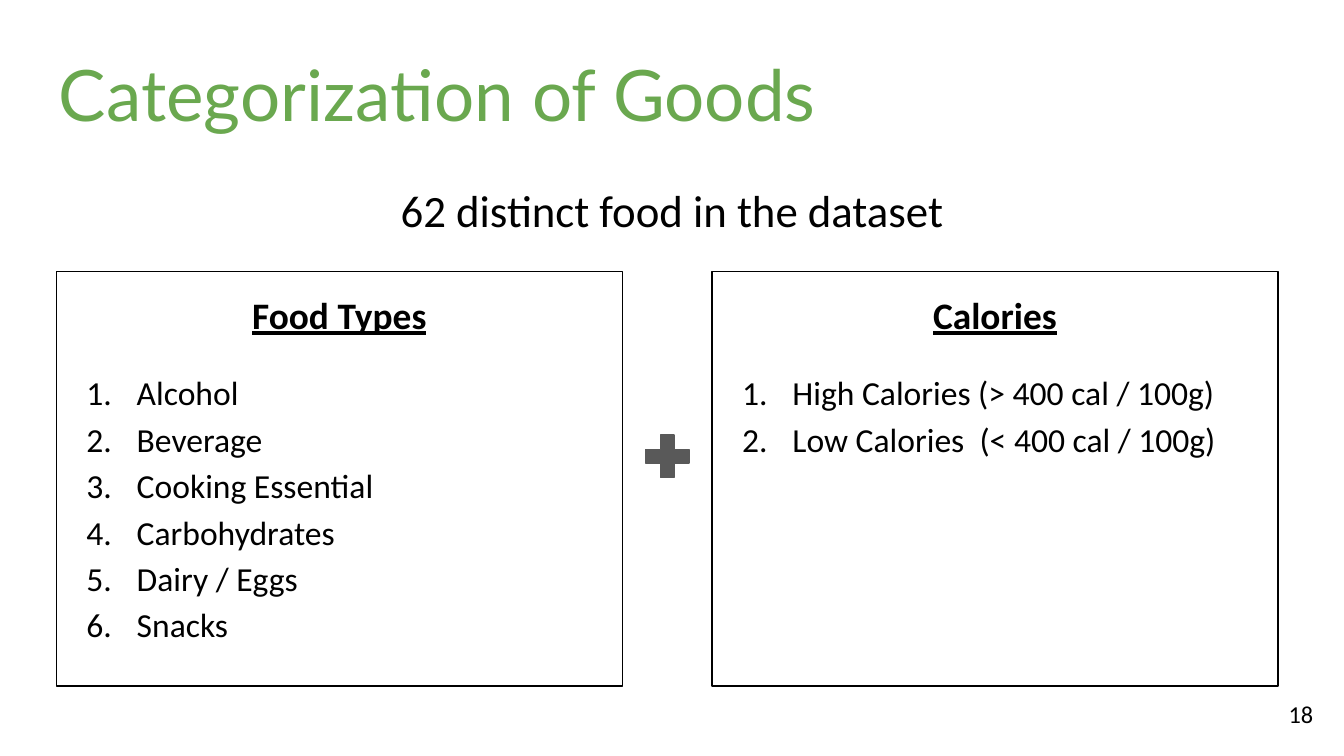
import pptx
import pptx.util
import pptx.dml.color
import pptx.enum.shapes
import pptx.enum.text
import lxml.etree

Pt = pptx.util.Pt
ALIGN = pptx.enum.text.PP_ALIGN
ANCHOR = pptx.enum.text.MSO_ANCHOR
SHAPE = pptx.enum.shapes.MSO_SHAPE

# Content
TITLE = "Categorization of Goods"
SUBTITLE = "62 distinct food in the dataset"
PAGE_NUMBER = "18"
CATEGORIES = [
    ("Food Types", ["Alcohol", "Beverage", "Cooking Essential",
                    "Carbohydrates", "Dairy / Eggs", "Snacks"]),
    ("Calories", ["High Calories (> 400 cal / 100g)",
                  "Low Calories  (< 400 cal / 100g)"]),
]


def rgb(code):
    return pptx.dml.color.RGBColor.from_string(code)


THEME = {
    "text": rgb("000000"),
    "plus": rgb("595959"),
    "title": {"name": "Lato", "size": Pt(38), "color": rgb("6AA84F")},
    "subtitle": {"name": "Calibri", "size": Pt(24)},
    "heading": {"name": "Calibri", "size": Pt(20), "bold": True, "underline": True},
    "item": {"name": "Calibri", "size": Pt(18)},
    "number": {"name": "Calibri", "size": Pt(13)},
}

# Layout, in points
SLIDE_W, SLIDE_H = 720, 405
HEAD_X, HEAD_W, HEAD_H = 24.5, 671, 45
PANEL_X, PANEL_Y, PANEL_W, PANEL_H, PANEL_GAP = 30.2, 145.5, 303.2, 222, 48.1
PLUS_W, PLUS_H, PLUS_Y = 31.6, 31, 229
INSET = 7.2
ITEM_INDENT, ITEM_HANG = 36, 27


def write(paragraph, text, style, **layout):
    for key, value in layout.items():
        setattr(paragraph, key, value)
    paragraph.text = text
    font = paragraph.font
    formats = {"color": THEME["text"], **THEME[style]}
    font.color.rgb = formats.pop("color")
    for key, value in formats.items():
        setattr(font, key, value)


def prepare(frame, anchor=ANCHOR.TOP):
    formats = {"word_wrap": True, "vertical_anchor": anchor}
    for side in ("left", "top", "right", "bottom"):
        formats[f"margin_{side}"] = Pt(INSET)
    for key, value in formats.items():
        setattr(frame, key, value)
    return frame


def add_text(slide, box, text, style, anchor=ANCHOR.TOP, **layout):
    frame = prepare(slide.shapes.add_textbox(*map(Pt, box)).text_frame, anchor)
    write(frame.paragraphs[0], text, style, **layout)


def number_item(paragraph):
    properties = paragraph._p.get_or_add_pPr()
    properties.set("marL", str(Pt(ITEM_INDENT)))
    properties.set("indent", str(-Pt(ITEM_HANG)))
    numbering = lxml.etree.SubElement(properties, pptx.oxml.ns.qn("a:buAutoNum"))
    numbering.set("type", "arabicPeriod")


def add_panel(slide, left, heading, items):
    panel = slide.shapes.add_shape(
        SHAPE.RECTANGLE, Pt(left), Pt(PANEL_Y), Pt(PANEL_W), Pt(PANEL_H))
    panel.shadow.inherit = False
    panel.fill.background()
    panel.line.color.rgb = THEME["text"]
    panel.line.width = Pt(0.75)
    frame = prepare(panel.text_frame)
    write(frame.paragraphs[0], heading, "heading",
          alignment=ALIGN.CENTER, line_spacing=1.15)
    for index, item in enumerate(items):
        paragraph = frame.add_paragraph()
        paragraph.line_spacing = 1.15
        paragraph.space_before = Pt(0 if index else 16)
        number_item(paragraph)
        write(paragraph, item, "item", alignment=ALIGN.LEFT)


def main():
    deck = pptx.Presentation()
    deck.slide_width, deck.slide_height = Pt(SLIDE_W), Pt(SLIDE_H)
    slide = deck.slides.add_slide(deck.slide_layouts[6])

    # Title, subtitle and page number
    add_text(slide, (HEAD_X, 20, HEAD_W, HEAD_H), TITLE, "title")
    add_text(slide, (HEAD_X, 86.5, HEAD_W, HEAD_H), SUBTITLE, "subtitle",
             alignment=ALIGN.CENTER, line_spacing=1.15)
    add_text(slide, (667.5, 367, 43, 31), PAGE_NUMBER, "number", ANCHOR.MIDDLE,
             alignment=ALIGN.RIGHT)

    # Category panels
    for index, (heading, items) in enumerate(CATEGORIES):
        add_panel(slide, PANEL_X + index * (PANEL_W + PANEL_GAP), heading, items)

    # Plus sign between the panels
    plus_x = PANEL_X + PANEL_W + (PANEL_GAP - PLUS_W) / 2
    plus = slide.shapes.add_shape(
        SHAPE.MATH_PLUS, Pt(plus_x), Pt(PLUS_Y), Pt(PLUS_W), Pt(PLUS_H))
    plus.shadow.inherit = False
    plus.fill.solid()
    plus.fill.fore_color.rgb = THEME["plus"]
    plus.line.color.rgb = THEME["plus"]
    plus.line.width = Pt(0.75)

    deck.save("out.pptx")


if __name__ == "__main__":
    main()
